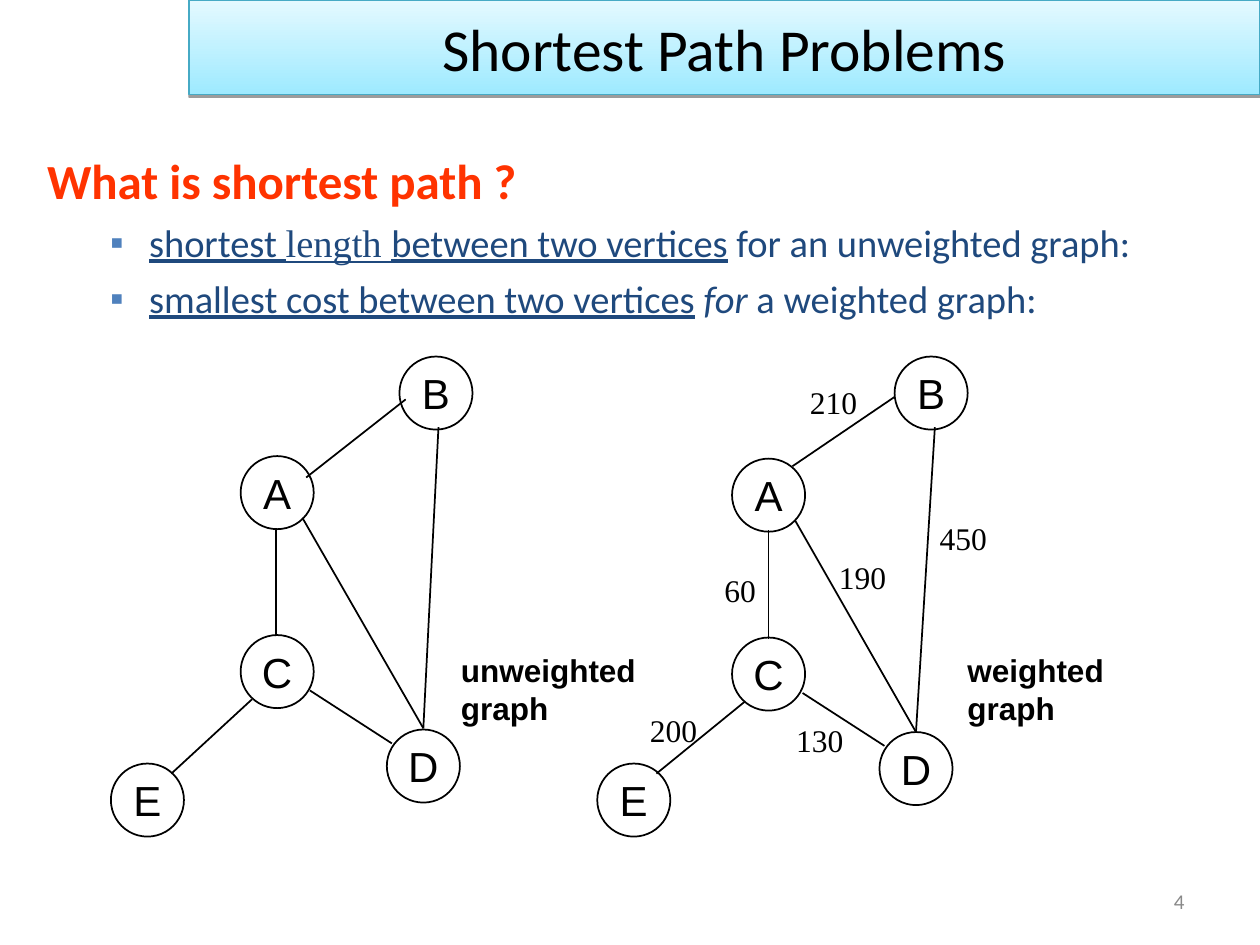
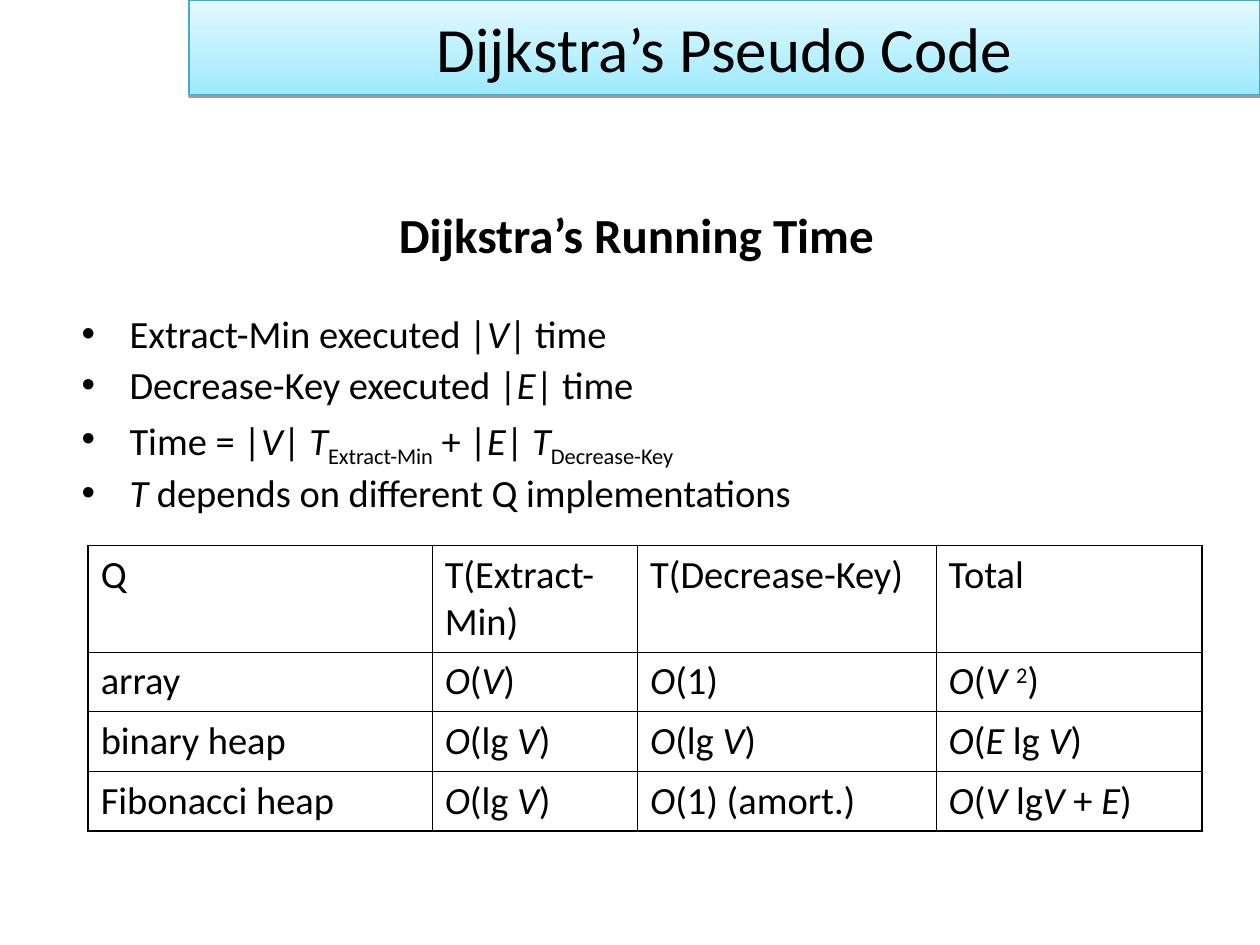
"""Build two slides on shortest paths and the running time of Dijkstra's algorithm."""
from dataclasses import dataclass
from itertools import groupby
from typing import NamedTuple, Optional

from lxml import etree
from pptx import Presentation
from pptx import util as u
from pptx.dml.color import RGBColor
from pptx.enum import shapes, text
from pptx.oxml import ns

BLACK = RGBColor(0x00, 0x00, 0x00)
RED = RGBColor(0xFF, 0x33, 0x00)
NAVY = RGBColor(0x1F, 0x49, 0x7D)
BLUE = RGBColor(0x4F, 0x81, 0xBD)
GREY = RGBColor(0x89, 0x89, 0x89)
BAND_EDGE = RGBColor(0x46, 0xAA, 0xC5)
BAND_LOW = RGBColor(0x9E, 0xEA, 0xFF)
BAND_HIGH = RGBColor(0xE4, 0xF9, 0xFF)

WIDTH, HEIGHT = u.Inches(10), u.Inches(7.5)
COLUMN, ROW = WIDTH / 100, HEIGHT / 75
LEFT, CENTER, RIGHT = text.PP_ALIGN.LEFT, text.PP_ALIGN.CENTER, text.PP_ALIGN.RIGHT
TOP, MIDDLE = text.MSO_ANCHOR.TOP, text.MSO_ANCHOR.MIDDLE
MARKS = "*_`~^"
NODE_SIZE = 5.8
WEIGHT_WIDTH, WEIGHT_HEIGHT = 5.8, 4
THIN, THICK = 0.45, 1.08


class Box(NamedTuple):
    """Area in grid columns and rows."""
    left: float
    top: float
    width: float
    height: float


class Node(NamedTuple):
    """Graph vertex with its top left corner."""
    name: str
    left: float
    top: float


class Edge(NamedTuple):
    """Line between two grid points."""
    x1: float
    y1: float
    x2: float
    y2: float


class Weight(NamedTuple):
    """Cost of an edge with its top left corner."""
    cost: str
    left: float
    top: float


class Caption(NamedTuple):
    """Words and the area they take."""
    words: str
    box: Box


@dataclass(frozen=True)
class Style:
    """Look of a paragraph."""
    size: float
    font: str = "Calibri"
    color: RGBColor = BLACK
    bold: bool = False
    align: text.PP_ALIGN = LEFT
    before: float = 0
    spacing: Optional[float] = None


@dataclass(frozen=True)
class Bullet:
    """Bullet sign with its indents in inches."""
    sign: str
    color: RGBColor
    margin: float
    hanging: float


@dataclass(frozen=True)
class Graph:
    """Vertices, edges, weights and caption of one graph."""
    nodes: tuple[Node, ...]
    edges: tuple[Edge, ...]
    caption: Caption
    weights: tuple[Weight, ...] = ()


NODE = Style(24, "Arial", align=CENTER)
WEIGHT = Style(18, "Times New Roman")
CAPTION = Style(18, "Arial", bold=True)
QUESTION = Style(28, color=RED, bold=True)
ANSWER = Style(22, color=NAVY, before=5.5)
HEADING = Style(28, bold=True, align=CENTER)
STEP = Style(22, spacing=0.9)
NEXT_STEP = Style(22, before=5.5, spacing=0.9)
CELL = Style(22)
PAGE = Style(12, color=GREY, align=RIGHT)
SQUARE = Bullet("▪", BLUE, 0.81, 0.31)
DOT = Bullet("•", BLACK, 0.38, 0.38)

UNWEIGHTED = Graph(
    nodes=(Node("B", 31.7, 28.3), Node("D", 30.7, 57.9), Node("C", 19.1, 50.4),
           Node("A", 19.1, 36.2), Node("E", 8.8, 60.6)),
    edges=(Edge(33.6, 57.8, 34.8, 33.9), Edge(24.3, 37.9, 32.2, 31.7),
           Edge(24, 41.1, 33.6, 57.8), Edge(21.9, 50.5, 21.9, 41.9),
           Edge(13.6, 61.4, 20, 55.5), Edge(24.6, 54.8, 31.1, 59)),
    caption=Caption("unweighted graph", Box(35.6, 51.2, 16.5, 7)),
)
WEIGHTED = Graph(
    nodes=(Node("B", 71, 28.3), Node("D", 69.8, 58.1), Node("C", 58.1, 50.6),
           Node("A", 58.1, 36.4), Node("E", 47.4, 60.6)),
    edges=(Edge(72.7, 58.1, 74.2, 33.9), Edge(62.9, 37, 71, 31.5),
           Edge(63.1, 41.3, 72.7, 58.1), Edge(61, 50.7, 61, 42.1),
           Edge(52.1, 61.4, 59.1, 55.7), Edge(63.7, 55, 70.2, 59.2)),
    caption=Caption("weighted graph", Box(75.8, 51.2, 15.7, 7)),
    weights=(Weight("200", 50.6, 55.9), Weight("60", 56.5, 44.8), Weight("130", 62.2, 56.7),
             Weight("190", 65.6, 43.8), Weight("450", 73.6, 40.7), Weight("210", 63.3, 29.9)),
)

ANSWERS = (
    "_shortest `length `between two vertices_ for an unweighted graph:",
    "_smallest cost between two vertices_* for* a weighted graph:",
)
STEPS = (
    "Extract-Min executed |*V*| time",
    "Decrease-Key executed |*E*| time",
    "Time = |*V*| *T*~Extract-Min~ + |*E*| *T*~Decrease-Key~",
    "*T* depends on different Q implementations",
)
COSTS = (
    ("Q", "T(Extract-Min)", "T(Decrease-Key)", "Total"),
    ("array", "*O*(*V*)", "*O*(1)", "*O*(*V *^2^)"),
    ("binary heap", "*O*(lg* V*)", "*O*(lg *V*)", "*O*(*E* lg *V*)"),
    ("Fibonacci heap", "*O*(lg* V*)", "*O*(1) (amort.)", "*O*(*V* lg*V* + *E*)"),
)
COST_COLUMNS = (27.3, 16.3, 23.7, 21.1)
COST_ROWS = (8.45, 4.73, 4.73, 4.73)


def across(n: float) -> u.Emu:
    """Turn grid columns into a length."""
    return u.Emu(round(n * COLUMN))


def down(n: float) -> u.Emu:
    """Turn grid rows into a length."""
    return u.Emu(round(n * ROW))


def place(box: Box) -> tuple:
    """Give the left, top, width and height of a box."""
    return across(box.left), down(box.top), across(box.width), down(box.height)


def add_xml(parent, tag: str, **attributes: str):
    """Append a drawing element."""
    return etree.SubElement(parent, ns.qn(f"a:{tag}"), attributes)


def add_color(parent, color: RGBColor):
    """Append a plain colour element."""
    return add_xml(parent, "srgbClr", val=str(color))


def write(p, marked: str, style: Style, bullet: Optional[Bullet] = None) -> None:
    """Fill a paragraph, switching run styles at each mark."""
    if bullet:
        pPr = p._p.get_or_add_pPr()
        pPr.set("marL", str(u.Inches(bullet.margin)))
        pPr.set("indent", str(-u.Inches(bullet.hanging)))
        add_color(add_xml(pPr, "buClr"), bullet.color)
        add_xml(pPr, "buFont", typeface="Arial")
        add_xml(pPr, "buChar", char=bullet.sign)
    p.alignment, p.space_before = style.align, u.Pt(style.before)
    p.line_spacing = style.spacing
    p.font.size, p.font.name, p.font.bold = u.Pt(style.size), style.font, style.bold
    p.font.color.rgb = style.color
    active = set()
    for is_mark, chars in groupby(marked, lambda c: c in MARKS):
        chunk = "".join(chars)
        if is_mark:
            active ^= set(chunk)
            continue
        r = p.add_run()
        r.text = chunk
        if "*" in active:
            r.font.italic = True
        if "_" in active:
            r.font.underline = True
        if "`" in active:
            r.font.name = "Times New Roman"
        for mark, shift in (("~", "-25000"), ("^", "30000")):
            if mark in active:
                r._r.get_or_add_rPr().set("baseline", shift)


def add_text(s, box: Box, marked: str, style: Style, anchor=TOP, bullet: Optional[Bullet] = None):
    """Add a text box and return its text frame."""
    tf = s.shapes.add_textbox(*place(box)).text_frame
    tf.word_wrap, tf.vertical_anchor = True, anchor
    write(tf.paragraphs[0], marked, style, bullet)
    return tf


def add_band(s, title: str, size: float) -> None:
    """Add the gradient title band."""
    sp = s.shapes.add_shape(shapes.MSO_SHAPE.RECTANGLE, *place(Box(15, 0, 85, 7.5)))
    sp.fill.gradient()
    sp.fill.gradient_angle = 90
    for stop, position, color in zip(sp.fill.gradient_stops, (0, 1), (BAND_LOW, BAND_HIGH)):
        stop.position, stop.color.rgb = position, color
    sp.line.color.rgb, sp.line.width = BAND_EDGE, u.Pt(0.75)
    sp.shadow.inherit = False
    shadow = add_xml(sp._element.spPr.find(ns.qn("a:effectLst")), "outerShdw", blurRad="0",
                     dist=str(u.Pt(1.6)), dir="5400000", rotWithShape="0")
    add_xml(add_color(shadow, BLACK), "alpha", val="38000")
    sp.text_frame.word_wrap, sp.text_frame.vertical_anchor = True, MIDDLE
    write(sp.text_frame.paragraphs[0], title, Style(size, align=CENTER))


def add_node(s, node: Node) -> None:
    """Add a vertex circle."""
    box = Box(node.left, node.top, NODE_SIZE, NODE_SIZE)
    sp = s.shapes.add_shape(shapes.MSO_SHAPE.OVAL, *place(box))
    sp.shadow.inherit = False
    sp.fill.background()
    sp.line.color.rgb, sp.line.width = BLACK, u.Pt(1)
    sp.text_frame.word_wrap, sp.text_frame.vertical_anchor = False, MIDDLE
    write(sp.text_frame.paragraphs[0], node.name, NODE)


def add_edge(s, edge: Edge) -> None:
    """Add a line between two vertices."""
    line = s.shapes.add_connector(shapes.MSO_CONNECTOR.STRAIGHT, across(edge.x1), down(edge.y1),
                                  across(edge.x2), down(edge.y2))
    line.line.color.rgb, line.line.width = BLACK, u.Pt(1)
    add_xml(line._element.spPr, "effectLst")


def add_weight(s, weight: Weight) -> None:
    """Add the cost of an edge on one line."""
    box = Box(weight.left, weight.top, WEIGHT_WIDTH, WEIGHT_HEIGHT)
    tf = add_text(s, box, weight.cost, WEIGHT)
    tf.margin_right = 0


def add_graph(s, graph: Graph) -> None:
    """Add a graph with its weights and caption."""
    for node in graph.nodes:
        add_node(s, node)
    for edge in graph.edges:
        add_edge(s, edge)
    for weight in graph.weights:
        add_weight(s, weight)
    add_text(s, graph.caption.box, graph.caption.words, CAPTION)


def add_costs(s) -> None:
    """Add the table of running times."""
    rows, columns = len(COST_ROWS), len(COST_COLUMNS)
    box = Box(7, 43.3, sum(COST_COLUMNS), sum(COST_ROWS))
    table = s.shapes.add_table(rows, columns, *place(box)).table
    table.first_row = table.horz_banding = False
    for column, width in zip(table.columns, COST_COLUMNS):
        column.width = across(width)
    for row, height in zip(table.rows, COST_ROWS):
        row.height = down(height)
    for i, line in enumerate(COSTS):
        for j, words in enumerate(line):
            cell = table.cell(i, j)
            write(cell.text_frame.paragraphs[0], words, CELL)
            tcPr = cell._tc.get_or_add_tcPr()
            outer = {"lnL": j == 0, "lnR": j == columns - 1, "lnT": i == 0, "lnB": i == rows - 1}
            for side, is_outer in outer.items():
                border = add_xml(tcPr, side, w=str(u.Pt(THICK if is_outer else THIN)))
                add_color(add_xml(border, "solidFill"), BLACK)
            cell.fill.background()


def build_problems(s) -> None:
    """Draw the slide on shortest path problems."""
    tf = add_text(s, Box(2.75, 11.45, 90.6, 40.3), "What is shortest path ?", QUESTION)
    for answer in ANSWERS:
        write(tf.add_paragraph(), answer, ANSWER, SQUARE)
    for graph in (UNWEIGHTED, WEIGHTED):
        add_graph(s, graph)
    add_band(s, "Shortest Path Problems", 34)
    add_text(s, Box(71.7, 69.5, 23.3, 4), "4", PAGE, MIDDLE)


def build_running_time(s) -> None:
    """Draw the slide on running time."""
    add_text(s, Box(5.5, 12.3, 90, 12.5), "Dijkstra’s Running Time", HEADING, MIDDLE)
    tf = add_text(s, Box(5.5, 24.5, 91.4, 19.1), STEPS[0], STEP, bullet=DOT)
    for step in STEPS[1:]:
        write(tf.add_paragraph(), step, NEXT_STEP, DOT)
    add_costs(s)
    add_band(s, "Dijkstra’s Pseudo Code", 36)


def main() -> None:
    """Build and save the slides."""
    prs = Presentation()
    prs.slide_width, prs.slide_height = WIDTH, HEIGHT
    for build in (build_problems, build_running_time):
        build(prs.slides.add_slide(prs.slide_layouts[6]))
    prs.save("out.pptx")


if __name__ == "__main__":
    main()
